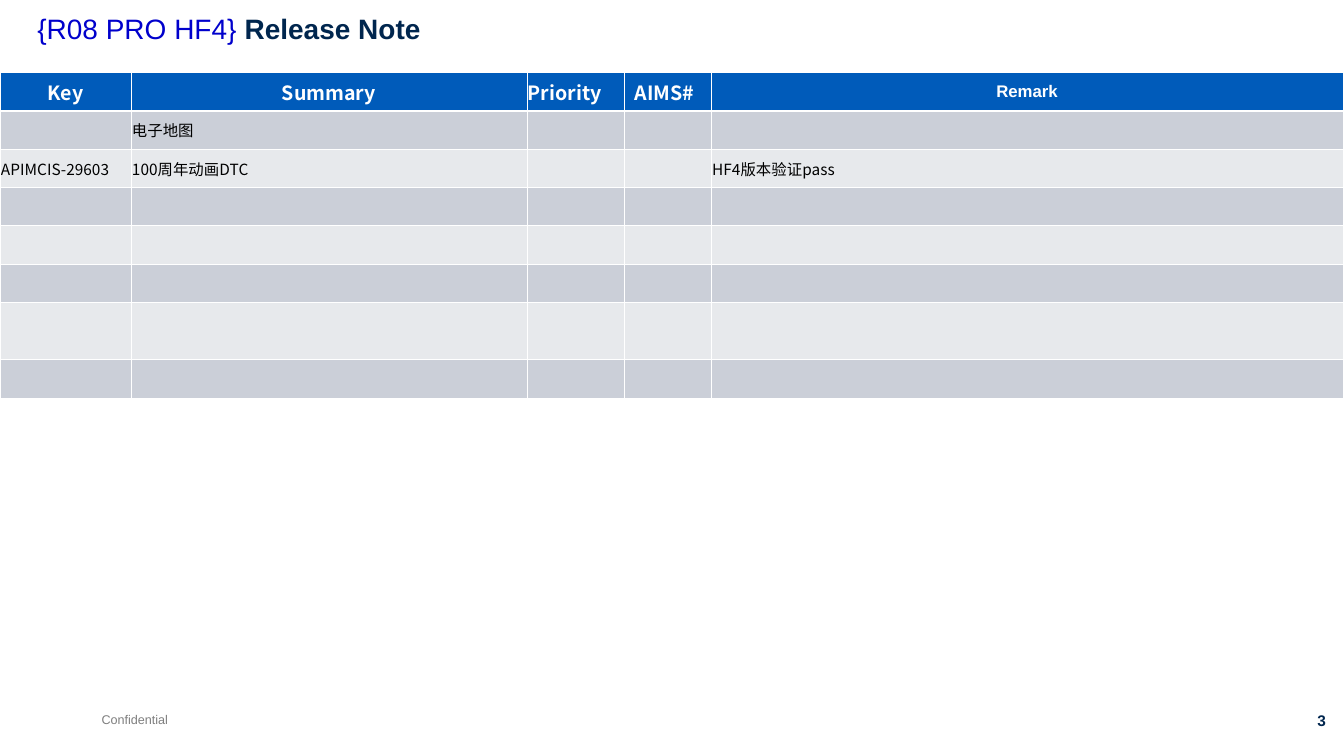
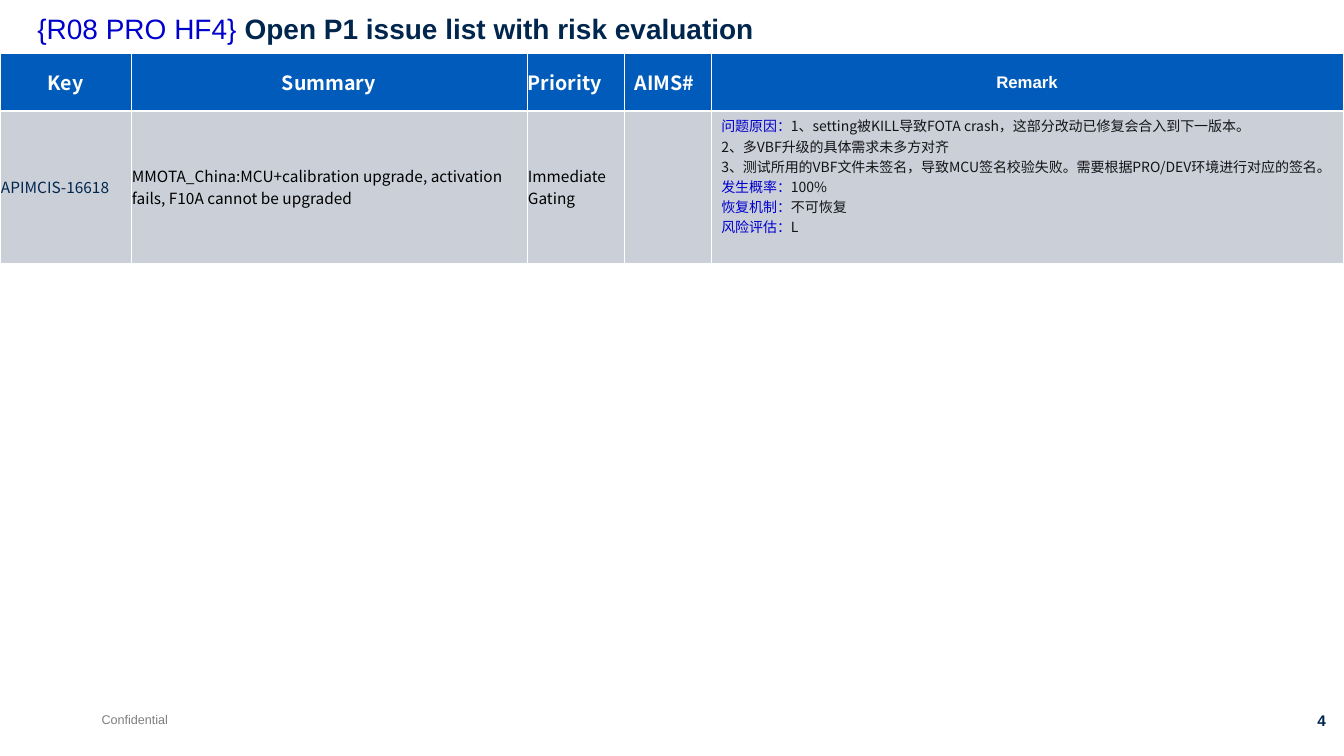
"""Build the release note and open issue slides."""
from dataclasses import dataclass, replace

from lxml.etree import SubElement
from pptx import Presentation
from pptx.dml.color import RGBColor
from pptx.enum.text import MSO_ANCHOR as Anchor, MSO_AUTO_SIZE as AutoSize, PP_ALIGN as Align
from pptx.oxml.ns import qn
from pptx.util import Inches, Pt

COLORS = {
    "navy": "00264E", "blue": "0000CC", "gray": "7F7F7F", "white": "FFFFFF",
    "black": "000000", "ink": "131416", "header": "005BBA",
    "band_dark": "CBCFD8", "band_light": "E7E9EC",
}
CJK = "Noto Sans CJK SC"
COL_WIDTHS = (1.3, 3.93, 0.97, 0.86, 6.27)
THIN, THICK = 0.45, 1.47


@dataclass(frozen=True)
class Run:
    text: str
    color: str = "black"
    size: float = 11
    font: str = CJK
    bold: bool = False


@dataclass(frozen=True)
class Cell:
    paras: tuple[tuple[Run, ...], ...] = ()
    align: Align = Align.LEFT
    inset: float = 0.01
    anchor: Anchor = Anchor.MIDDLE


@dataclass(frozen=True)
class IssueTable:
    title: str
    number: int
    top: float
    heights: tuple[float, ...]
    rows: tuple[tuple[Cell, ...], ...]


def rgb(name: str) -> RGBColor:
    return RGBColor.from_string(COLORS[name])


def text_cell(text: str, color: str = "black") -> Cell:
    return Cell(((Run(text, color),),))


def head_cell(text: str, align: Align = Align.CENTER, inset: float = 0.01) -> Cell:
    return Cell(((Run(text, "white", 14, CJK, True),),), align, inset)


def remark(label: str, text: str) -> tuple[Run, ...]:
    parts = (Run(label, "blue", 10), Run(text, "ink", 10))
    return tuple(part for part in parts if part.text)


EMPTY = Cell()
HEADER = (
    head_cell("Key"),
    head_cell("Summary"),
    head_cell("Priority", Align.LEFT),
    head_cell("AIMS#", Align.LEFT, 0.1),
    Cell(((Run("Remark", "white", 12, "Arial", True),),), Align.CENTER, 0.1),
)
RISK = Cell((
    remark("问题原因：", "1、setting被KILL导致FOTA crash，这部分改动已修复会合入到下一版本。"),
    remark("", "2、多VBF升级的具体需求未多方对齐"),
    remark("", "3、测试所用的VBF文件未签名，导致MCU签名校验失败。需要根据PRO/DEV环境进行对应的签名。"),
    remark("发生概率：", "100%"),
    remark("恢复机制：", "不可恢复"),
    remark("风险评估：", "L"),
), inset=0.1, anchor=Anchor.TOP)

SLIDES = (
    IssueTable("Release Note", 3, 0.72, (0.38,) * 6 + (0.56, 0.39), (
        HEADER,
        (EMPTY, text_cell("电子地图"), EMPTY, EMPTY, EMPTY),
        (text_cell("APIMCIS-29603"), text_cell("100周年动画DTC"), EMPTY, EMPTY,
         text_cell("HF4版本验证pass")),
        *((EMPTY,) * 5,) * 5,
    )),
    IssueTable("Open P1 issue list with risk evaluation", 4, 0.53, (0.57, 1.51), (
        HEADER,
        (text_cell("APIMCIS-16618", "navy"),
         text_cell("MMOTA_China:MCU+calibration upgrade, activation fails, "
                   "F10A cannot be upgraded"),
         text_cell("Immediate Gating"), EMPTY, RISK),
    )),
)


def add_runs(p, runs: tuple[Run, ...]) -> None:
    for run in runs:
        r = p.add_run()
        r.text = run.text
        values = {"size": Pt(run.size), "name": run.font, "bold": run.bold}
        for key, value in values.items():
            setattr(r.font, key, value)
        r.font.color.rgb = rgb(run.color)
        SubElement(r.font._element, qn("a:ea"), typeface=run.font)


def add_title(s, text: str) -> None:
    sp = s.shapes.title
    box = {"left": 0.27, "top": 0.1, "width": 11.85, "height": 0.63}
    for key, value in box.items():
        setattr(sp, key, Inches(value))
    tf = sp.text_frame
    for key, value in {"auto_size": AutoSize.NONE, "vertical_anchor": Anchor.TOP}.items():
        setattr(tf, key, value)
    p = tf.paragraphs[0]
    for key, value in {"alignment": Align.LEFT, "line_spacing": 0.9}.items():
        setattr(p, key, value)
    prefix = Run("{R08 PRO HF4} ", "blue", 20, "Arial")
    add_runs(p, (prefix, replace(prefix, text=text, color="navy", bold=True)))


def add_label(s, left: float, width: float, height: float, run: Run, align: Align) -> None:
    sp = s.shapes.add_textbox(Inches(left), Inches(7.01), Inches(width), Inches(height))
    p = sp.text_frame.paragraphs[0]
    p.alignment = align
    add_runs(p, (run,))


def add_footer(s, number: int) -> None:
    add_label(s, 0.91, 0.86, 0.25, Run("Confidential", "gray", 9, "Arial"), Align.LEFT)
    add_label(s, 12.32, 0.94, 0.29, Run(str(number), "navy", 11, "Arial", True), Align.RIGHT)


def set_borders(tc, row: int) -> None:
    widths = {
        "lnL": THIN, "lnR": THIN,
        "lnT": THICK if row == 1 else THIN,
        "lnB": THICK if row == 0 else THIN,
    }
    tc_pr = tc.get_or_add_tcPr()
    for tag, width in widths.items():
        ln = SubElement(tc_pr, qn(f"a:{tag}"), w=str(int(Pt(width))))
        SubElement(SubElement(ln, qn("a:solidFill")), qn("a:srgbClr"), val=COLORS["white"])


def fill_cell(target, cell: Cell, row: int) -> None:
    set_borders(target._tc, row)
    band = "band_dark" if row % 2 else "band_light"
    target.fill.solid()
    target.fill.fore_color.rgb = rgb(band if row else "header")
    values = {
        "margin_left": Inches(cell.inset), "margin_right": Inches(cell.inset),
        "margin_top": Inches(0.05), "margin_bottom": Inches(0.05),
        "vertical_anchor": cell.anchor,
    }
    for key, value in values.items():
        setattr(target, key, value)
    tf = target.text_frame
    if not cell.paras:
        SubElement(tf.paragraphs[0]._p, qn("a:endParaRPr"), sz="1100")
    for i, runs in enumerate(cell.paras):
        p = tf.add_paragraph() if i else tf.paragraphs[0]
        p.alignment = cell.align
        add_runs(p, runs)


def add_issue_table(s, spec: IssueTable) -> None:
    table = s.shapes.add_table(
        len(spec.rows), len(COL_WIDTHS), Inches(0), Inches(spec.top),
        Inches(sum(COL_WIDTHS)), Inches(sum(spec.heights))).table
    for key in ("first_row", "horz_banding"):
        setattr(table, key, False)
    for column, width in zip(table.columns, COL_WIDTHS):
        column.width = Inches(width)
    for i, (height, cells) in enumerate(zip(spec.heights, spec.rows)):
        table.rows[i].height = Inches(height)
        for j, cell in enumerate(cells):
            fill_cell(table.cell(i, j), cell, i)


def main() -> None:
    prs = Presentation()
    prs.slide_width, prs.slide_height = Inches(13.34), Inches(7.5)
    for item in SLIDES:
        s = prs.slides.add_slide(prs.slide_layouts[5])
        add_footer(s, item.number)
        add_title(s, item.title)
        add_issue_table(s, item)
    prs.save("out.pptx")


if __name__ == "__main__":
    main()
